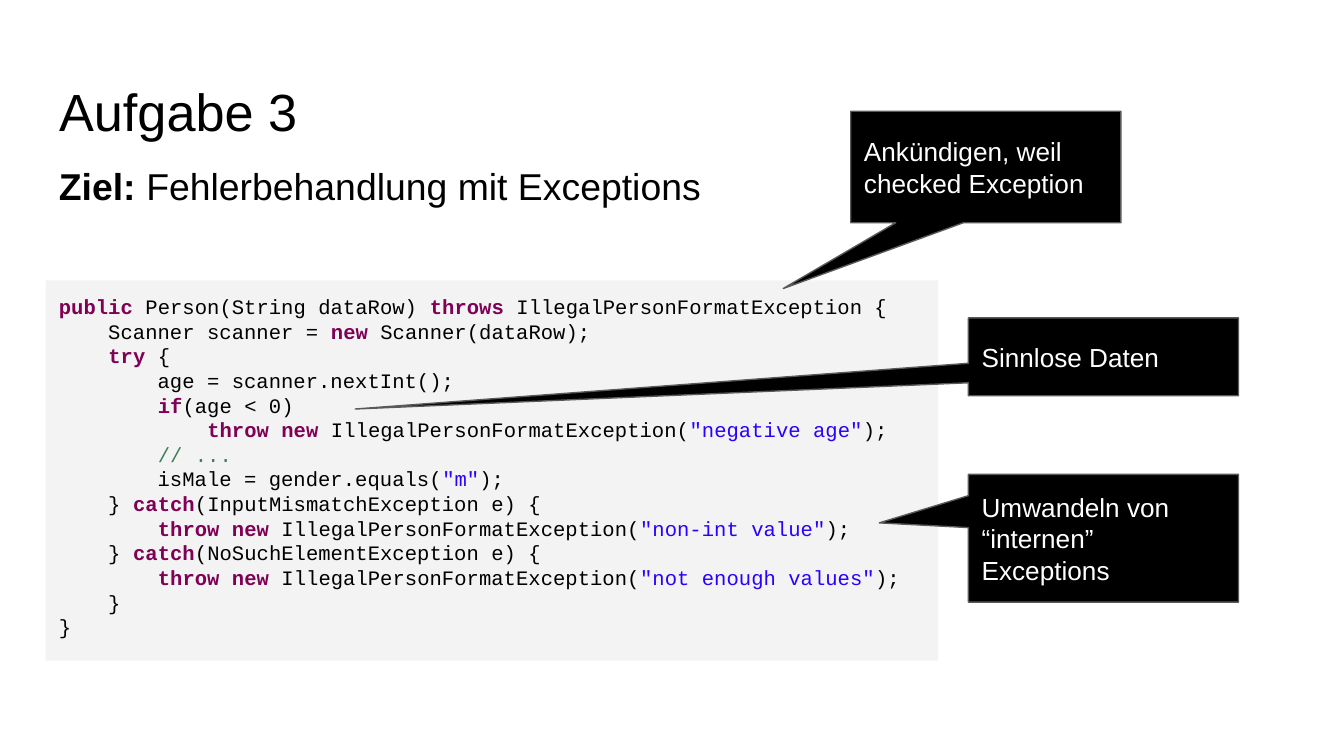
from dataclasses import dataclass

from pptx import Presentation
from pptx.dml.color import RGBColor
from pptx.enum.shapes import MSO_SHAPE
from pptx.enum.text import MSO_ANCHOR, MSO_AUTO_SIZE, PP_ALIGN
from pptx.util import Inches, Pt

SLIDE_WIDTH = Inches(10)
SLIDE_HEIGHT = SLIDE_WIDTH * 9 // 16
COLUMN, ROW = SLIDE_WIDTH / 100, SLIDE_HEIGHT / 56.25
MARGIN = 3.4
CALLOUT_WIDTH = 20.1
BLACK, WHITE, PANEL, OUTLINE = "000000", "FFFFFF", "F3F3F3", "595959"
MARK = "`"
CODE_COLOURS = {"k": "7F0055", "s": "2A00FF", "c": "3F7F59"}
CODE = """`kpublic` Person(String dataRow) `kthrows `IllegalPersonFormatException {
    Scanner scanner = `knew` Scanner(dataRow);
    `ktry` {
        age = scanner.nextInt();
        `kif`(age < 0)
            `kthrow new `IllegalPersonFormatException(`s"negative age"`);
        `c// ...`
        isMale = gender.equals(`s"m"`);
    } `kcatch`(InputMismatchException e) {
        `kthrow new `IllegalPersonFormatException(`s"non-int value"`);
    } `kcatch`(NoSuchElementException e) {
        `kthrow new `IllegalPersonFormatException(`s"not enough values"`);
    }
}"""


@dataclass(frozen=True)
class Area:
    """A rectangle in grid columns and rows."""

    left: float
    top: float
    width: float
    height: float

    def lengths(self) -> tuple[int, int, int, int]:
        """Return left, top, width and height as slide lengths."""
        return (round(self.left * COLUMN), round(self.top * ROW),
                round(self.width * COLUMN), round(self.height * ROW))


@dataclass(frozen=True)
class Callout:
    """A note whose tip is offset from its centre in shares of its size."""

    text: str
    area: Area
    tip: tuple[float, float]


CALLOUTS = (
    Callout("Ankündigen, weil checked Exception",
            Area(63.3, 8.28, CALLOUT_WIDTH, 8.3), (-0.75, 1.09)),
    Callout("Sinnlose Daten",
            Area(72.05, 23.65, CALLOUT_WIDTH, 5.8), (-2.77, 0.67)),
    Callout("Umwandeln von “internen” Exceptions",
            Area(72.05, 35.3, CALLOUT_WIDTH, 9.5), (-0.83, -0.12)),
)


def colour(value: str) -> RGBColor:
    """Turn a hex string into a colour."""
    return RGBColor.from_string(value)


def style(span, size: float, shade: str = BLACK, bold: bool = False,
          font: str = "Arial") -> None:
    """Format one run."""
    span.font.name = font
    span.font.size = Pt(size)
    span.font.bold = bold
    span.font.color.rgb = colour(shade)


def prepare(box, anchor=MSO_ANCHOR.TOP):
    """Set margins, wrapping and anchor, and return the first paragraph."""
    frame = box.text_frame
    frame.word_wrap = True
    frame.auto_size = MSO_AUTO_SIZE.NONE
    frame.vertical_anchor = anchor
    frame.margin_left = frame.margin_right = Inches(0.1)
    frame.margin_top = frame.margin_bottom = Inches(0.1)
    para = frame.paragraphs[0]
    para.alignment = PP_ALIGN.LEFT
    return para


def add_panel(page, kind, area: Area, fill: str):
    """Add a filled shape without shadow or outline."""
    box = page.shapes.add_shape(kind, *area.lengths())
    box.shadow.inherit = False
    box.fill.solid()
    box.fill.fore_color.rgb = colour(fill)
    box.line.fill.background()
    return box


def add_title(page, text: str, area: Area) -> None:
    """Place and format the title placeholder."""
    box = page.shapes.title
    box.left, box.top, box.width, box.height = area.lengths()
    para = prepare(box)
    para.text = text
    style(para.runs[0], 28)


def add_goal(page, label: str, text: str, area: Area) -> None:
    """Add the goal line with its bold label."""
    para = prepare(page.shapes.add_textbox(*area.lengths()))
    para.space_after = Pt(10)
    for part, bold in ((label, True), (text, False)):
        span = para.add_run()
        span.text = part
        style(span, 20, bold=bold)


def add_code(page, code: str, area: Area) -> None:
    """Add the listing, colouring the marked parts of each line."""
    para = prepare(add_panel(page, MSO_SHAPE.RECTANGLE, area, PANEL))
    for number, line in enumerate(code.splitlines()):
        if number:
            para.add_line_break()
        for index, part in enumerate(line.split(MARK)):
            if not part:
                continue
            kind, text = (part[0], part[1:]) if index % 2 else ("", part)
            span = para.add_run()
            span.text = text
            style(span, 11, CODE_COLOURS.get(kind, BLACK), kind == "k", "Courier New")


def add_callout(page, callout: Callout) -> None:
    """Add one black note with its pointer."""
    box = add_panel(page, MSO_SHAPE.ROUNDED_RECTANGULAR_CALLOUT, callout.area, BLACK)
    box.line.color.rgb = colour(OUTLINE)
    box.line.width = Pt(0.75)
    for index, value in enumerate((*callout.tip, 0)):
        box.adjustments[index] = value
    para = prepare(box, MSO_ANCHOR.MIDDLE)
    para.text = callout.text
    style(para.runs[0], 14, WHITE)


def main() -> None:
    """Build and save the slide."""
    deck = Presentation()
    deck.slide_width, deck.slide_height = SLIDE_WIDTH, SLIDE_HEIGHT
    page = deck.slides.add_slide(deck.slide_layouts.get_by_name("Title Only"))
    add_title(page, "Aufgabe 3", Area(MARGIN, 4.9, 93.2, 6.3))
    add_code(page, CODE, Area(MARGIN, 20.87, 66.4, 28.3))
    add_goal(page, "Ziel: ", "Fehlerbehandlung mit Exceptions",
             Area(MARGIN, 11.13, 58.5, 5))
    for callout in CALLOUTS:
        add_callout(page, callout)
    deck.save("out.pptx")


if __name__ == "__main__":
    main()
